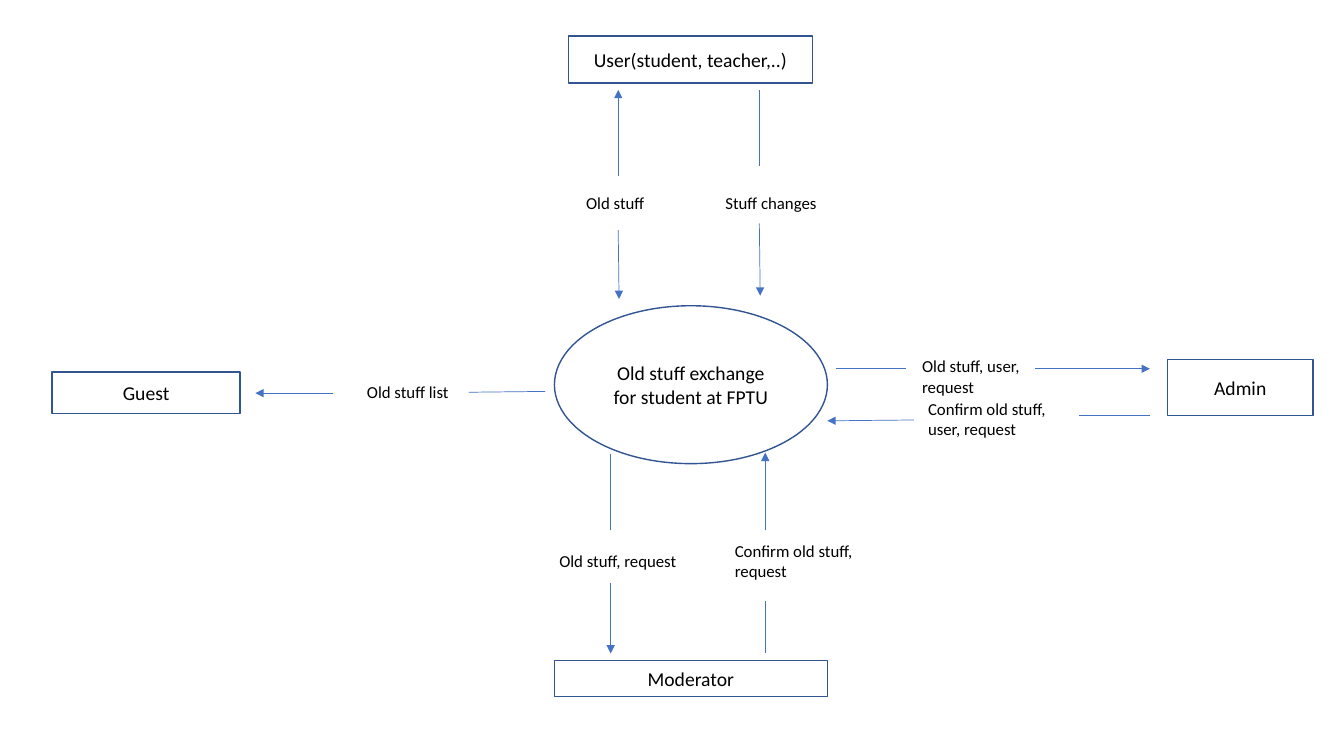
from dataclasses import dataclass

from pptx import Presentation
from pptx.dml.color import RGBColor
from pptx.enum.shapes import MSO_CONNECTOR as Connector, MSO_SHAPE as Shape
from pptx.enum.text import MSO_ANCHOR as Anchor, MSO_AUTO_SIZE as AutoSize, PP_ALIGN as Align
from pptx.oxml.ns import qn
from pptx.util import Inches, Pt
from lxml.etree import SubElement

COLUMNS, ROWS = 160, 90


@dataclass(frozen=True)
class Theme:
    font: str = "Calibri"
    text: RGBColor = RGBColor(0, 0, 0)
    paper: RGBColor = RGBColor(0xFF, 0xFF, 0xFF)
    outline: RGBColor = RGBColor(0x32, 0x54, 0x91)
    flow: RGBColor = RGBColor(0x44, 0x72, 0xC4)
    entity_size: int = 14
    label_size: int = 12
    outline_width: float = 1
    flow_width: float = 0.5


class ContextDiagram:
    """Draws on one slide; positions are columns and rows of the grid."""

    def __init__(self, deck, theme):
        self.theme = theme
        self.column = deck.slide_width / COLUMNS
        self.row = deck.slide_height / ROWS
        blank = deck.slide_layouts[6]
        self.shapes = deck.slides.add_slide(blank).shapes

    def to_emu(self, *cells):
        """Turn alternating columns and rows into slide lengths."""
        return [round(cell * (self.row if index % 2 else self.column))
                for index, cell in enumerate(cells)]

    def set_text(self, frame, text, size, align):
        frame.word_wrap = True
        frame.text = text
        paragraph = frame.paragraphs[0]
        paragraph.alignment = align
        font = paragraph.runs[0].font
        font.name, font.size = self.theme.font, Pt(size)
        font.color.rgb = self.theme.text

    def entity(self, text, box, outline=Shape.RECTANGLE):
        node = self.shapes.add_shape(outline, *self.to_emu(*box))
        node.shadow.inherit = False
        node.fill.solid()
        node.fill.fore_color.rgb = self.theme.paper
        node.line.color.rgb = self.theme.outline
        node.line.width = Pt(self.theme.outline_width)
        node.text_frame.vertical_anchor = Anchor.MIDDLE
        self.set_text(node.text_frame, text, self.theme.entity_size, Align.CENTER)

    def label(self, text, box, align=Align.LEFT):
        frame = self.shapes.add_textbox(*self.to_emu(*box)).text_frame
        self.set_text(frame, text, self.theme.label_size, align)
        frame.auto_size = AutoSize.SHAPE_TO_FIT_TEXT

    def flow(self, start, end, arrow):
        segment = self.shapes.add_connector(
            Connector.STRAIGHT, *self.to_emu(*start, *end))
        segment.line.color.rgb = self.theme.flow
        segment.line.width = Pt(self.theme.flow_width)
        properties = segment._element.spPr
        SubElement(properties, qn("a:effectLst"))
        if arrow:
            SubElement(properties.find(qn("a:ln")), qn("a:tailEnd"), type="triangle")


ENTITIES = [
    ("User(student, teacher,..)", (67.7, 4.3, 29, 5.6)),
    ("Guest", (6.2, 44.3, 22.4, 4.9)),
    ("Admin", (139, 42.8, 17.3, 6.7)),
    ("Moderator", (66, 78.6, 32.5, 4.3)),
]

LABELS = [
    ("Old stuff, user, request", (108.6, 41.8, 14.6, 6), Align.LEFT),
    ("Confirm old stuff, request", (86.3, 63.8, 17.2, 6), Align.LEFT),
    ("Old stuff, request", (65.4, 65, 17.2, 3.6), Align.LEFT),
    ("Old stuff list", (42.5, 44.9, 12.3, 3.6), Align.LEFT),
    ("Stuff changes", (85, 22.3, 13.4, 3.6), Align.RIGHT),
    ("Old stuff", (68.6, 22.4, 9.8, 3.6), Align.LEFT),
    ("Confirm old stuff, user, request", (109.3, 46.9, 17.3, 6), Align.LEFT),
]

# Start, end, and whether the end carries an arrowhead
GUEST_FLOWS = [
    ((39.7, 46.8), (30.4, 46.8), True),
    ((64.9, 46.6), (55.8, 46.7), False),
]
USER_FLOWS = [
    ((73.6, 27.4), (73.7, 35.6), True),
    ((73.6, 21), (73.6, 10.7), True),
    ((90.4, 26.6), (90.5, 35.2), True),
    ((90.4, 10.7), (90.4, 19.8), False),
]
ADMIN_FLOWS = [
    ((99.5, 43.9), (107.9, 43.9), False),
    ((123.2, 43.9), (136.9, 43.9), True),
    ((108.8, 50), (98.5, 50.1), True),
    ((128.5, 49.4), (136.9, 49.4), False),
]
MODERATOR_FLOWS = [
    ((91.1, 71.6), (91.1, 77.8), False),
    ((72.7, 54), (72.7, 63.1), False),
    ((72.7, 69.4), (72.7, 77.8), True),
    ((91.1, 63.1), (91.1, 53.9), True),
]


def main():
    deck = Presentation()
    deck.slide_width, deck.slide_height = Inches(13.33), Inches(7.5)
    diagram = ContextDiagram(deck, Theme())
    diagram.entity("Old stuff exchange for student at FPTU",
                   (66, 36.4, 32.5, 18.8), Shape.OVAL)
    for name, box in ENTITIES:
        diagram.entity(name, box)
    for text, box, align in LABELS:
        diagram.label(text, box, align)
    for start, end, arrow in GUEST_FLOWS + USER_FLOWS + ADMIN_FLOWS + MODERATOR_FLOWS:
        diagram.flow(start, end, arrow)
    deck.save("out.pptx")


if __name__ == "__main__":
    main()
